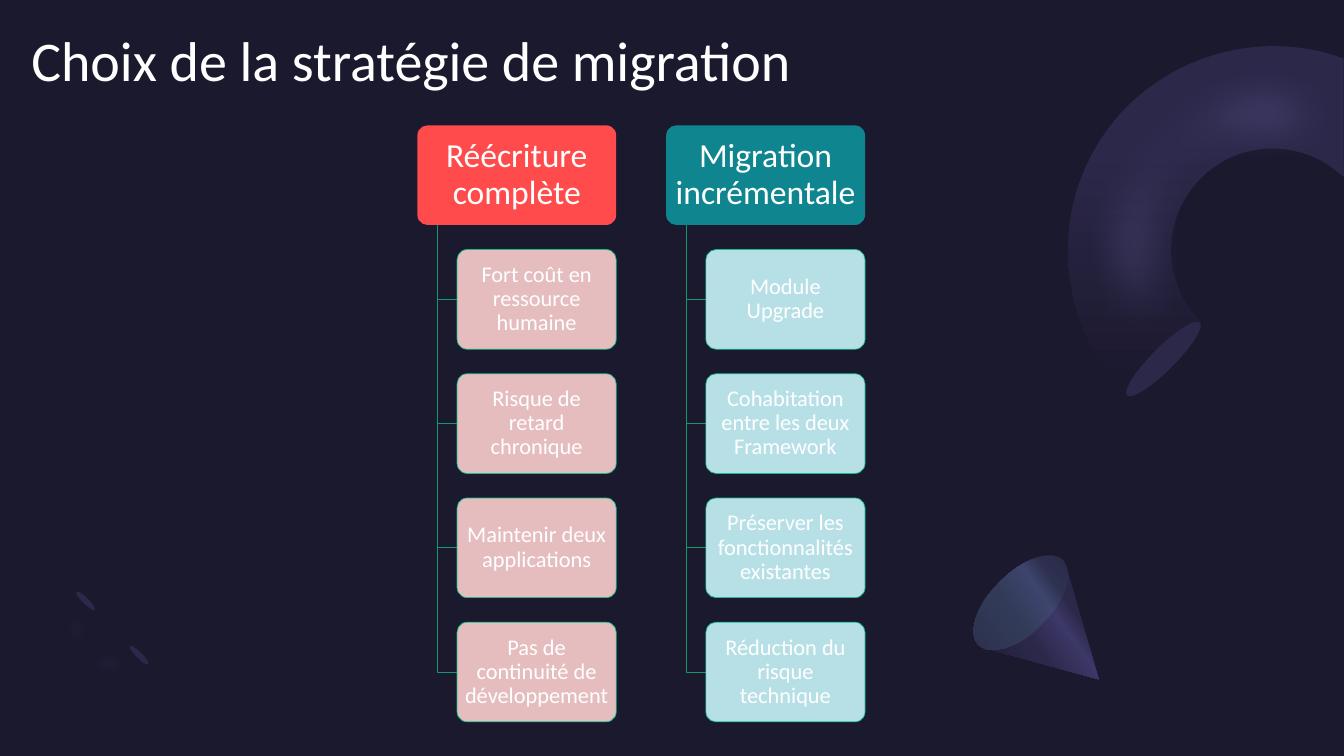
from dataclasses import dataclass

from lxml import etree
from pptx import Presentation
from pptx.dml.color import RGBColor
from pptx.enum.shapes import MSO_SHAPE
from pptx.enum.text import MSO_ANCHOR, PP_ALIGN
from pptx.oxml.ns import qn
from pptx.shapes.autoshape import Shape
from pptx.slide import Slide
from pptx.text.text import TextFrame
from pptx.util import Cm, Pt

ROUNDED = MSO_SHAPE.ROUNDED_RECTANGLE
OVAL = MSO_SHAPE.OVAL
MIDDLE = MSO_ANCHOR.MIDDLE
CENTER = PP_ALIGN.CENTER
LEFT = PP_ALIGN.LEFT

NIGHT = RGBColor(0x1B, 0x19, 0x2E)
INDIGO = RGBColor(0x2C, 0x28, 0x4A)
VIOLET = RGBColor(0x3C, 0x38, 0x67)
PLUM = RGBColor(0x45, 0x40, 0x75)
LAVENDER = RGBColor(0x77, 0x71, 0xB2)
MINT = RGBColor(0x5B, 0xEF, 0xC1)
WHITE = RGBColor(0xFF, 0xFF, 0xFF)
RED = RGBColor(0xFF, 0x4B, 0x4B)
PINK = RGBColor(0xFB, 0xCF, 0xCF)
TEAL = RGBColor(0x0E, 0x85, 0x8F)
AQUA = RGBColor(0xC8, 0xF6, 0xFA)
LEAF_EDGE = RGBColor(0x13, 0xBE, 0x89)
BRANCH_GREEN = RGBColor(0x0F, 0x98, 0x6E)

FONT = "Calibri"
TREE_LEFT, TREE_TOP = 10.52, 3.16
HEAD_WIDTH, LEAF_WIDTH, BOX_HEIGHT = 5.01, 4.01, 2.51
COLUMN_PITCH, ROW_PITCH = 6.27, 3.13
TRUNK_INDENT, LEAF_INDENT = 0.5, 1.0

Point = tuple[float, float]


@dataclass(frozen=True)
class Stop:
    position: int
    color: RGBColor
    opacity: int = 100


@dataclass(frozen=True)
class Paint:
    stops: tuple[Stop, ...]
    angle: int = 0
    soft_edge: float = 0


@dataclass(frozen=True)
class Outline:
    start: Point
    segments: tuple[tuple[float, ...], ...]
    paint: Paint


@dataclass(frozen=True)
class Ellipse:
    left: float
    top: float
    width: float
    height: float
    rotation: int
    paint: Paint


@dataclass(frozen=True)
class Strategy:
    name: str
    head_color: RGBColor
    leaf_color: RGBColor
    points: tuple[str, ...]


INDIGO_PAINT = Paint((Stop(0, INDIGO),))

DECOR: tuple[Outline | Ellipse, ...] = (
    Outline((28.42, 9.96), (
        (26.42, 7.95, 26.42, 4.67, 28.42, 2.67), (29.82, 1.3, 31.8, 0.86, 33.55, 1.37),
        (33.86, 1.47), (33.86, 4.45), (33.5, 4.17),
        (32.48, 3.51, 31.14, 3.61, 30.25, 4.5), (29.26, 5.49, 29.26, 7.11, 30.25, 8.13),
    ), Paint((Stop(31, INDIGO), Stop(97, NIGHT)), 90)),
    Outline((29.06, 10.62), (
        (26.7, 8.28, 26.42, 4.75, 28.42, 2.72), (29.69, 1.47, 31.55, 1.12, 33.32, 1.57),
        (33.83, 1.75), (33.83, 4.62), (33.78, 4.62),
        (32.69, 3.99, 31.37, 4.04, 30.56, 4.85), (29.57, 5.87, 29.69, 7.62, 30.86, 8.81),
    ), Paint((Stop(0, LAVENDER, 40),), soft_edge=1.05)),
    Ellipse(29.03, 7.75, 0.58, 2.59, 225, INDIGO_PAINT),
    Outline((27.69, 17.12), (
        (24.82, 16.33), (24.79, 16.33),
        (24.74, 16.31, 24.69, 16.28, 24.66, 16.23), (24.38, 15.95, 24.61, 15.24, 25.2, 14.66),
        (25.78, 14.07, 26.49, 13.82, 26.8, 14.12), (26.82, 14.15, 26.85, 14.2, 26.87, 14.25),
    ), Paint((Stop(30, INDIGO), Stop(40, VIOLET), Stop(60, INDIGO), Stop(100, NIGHT)), 145)),
    Ellipse(24.97, 13.69, 1.5, 3.0, 225, Paint((Stop(0, PLUM, 33), Stop(100, MINT, 0)), 90)),
    Outline((1.93, 16.74), (
        (1.42, 16.23, 1.42, 15.42, 1.93, 14.91), (2.39, 15.37),
        (2.13, 15.62, 2.13, 16.03, 2.39, 16.28), (2.62, 16.54, 3.05, 16.54, 3.28, 16.28),
        (3.73, 16.74), (3.25, 17.25, 2.41, 17.25, 1.93, 16.74),
    ), Paint((Stop(0, NIGHT),))),
    Ellipse(3.43, 16.18, 0.15, 0.66, 135, INDIGO_PAINT),
    Ellipse(2.08, 14.81, 0.15, 0.66, 135, INDIGO_PAINT),
    Outline((1.93, 16.74), (
        (1.42, 16.23, 1.47, 15.37, 2.06, 14.78), (2.51, 15.24),
        (2.21, 15.52, 2.18, 15.98, 2.44, 16.21), (2.69, 16.46, 3.12, 16.43, 3.43, 16.15),
        (3.86, 16.61), (3.3, 17.17, 2.41, 17.25, 1.93, 16.74),
    ), Paint((Stop(0, LAVENDER, 20),), soft_edge=0.28)),
)

STRATEGIES = (
    Strategy("Réécriture complète", RED, PINK, (
        "Fort coût en ressource humaine", "Risque de retard chronique",
        "Maintenir deux applications", "Pas de continuité de développement")),
    Strategy("Migration incrémentale", TEAL, AQUA, (
        "Module Upgrade", "Cohabitation entre les deux Framework",
        "Préserver les fonctionnalités existantes", "Réduction du risque technique")),
)


def add_color(parent: etree._Element, stop: Stop) -> None:
    color = etree.SubElement(parent, qn("a:srgbClr"), val=str(stop.color))
    if stop.opacity < 100:
        etree.SubElement(color, qn("a:alpha"), val=str(stop.opacity * 1000))


def apply_paint(shape: Shape, paint: Paint) -> None:
    shape.shadow.inherit = False
    shape.line.fill.background()
    properties = shape._element.spPr
    if len(paint.stops) == 1:
        shape.fill.solid()
        solid = properties.find(qn("a:solidFill"))
        solid.clear()
        add_color(solid, paint.stops[0])
    else:
        shape.fill.gradient()
        gradient = properties.find(qn("a:gradFill"))
        stop_list = gradient.find(qn("a:gsLst"))
        stop_list.clear()
        for stop in paint.stops:
            add_color(etree.SubElement(stop_list, qn("a:gs"), pos=str(stop.position * 1000)), stop)
        gradient.find(qn("a:lin")).set("ang", str(paint.angle * 60000))
    if paint.soft_edge:
        effects = properties.find(qn("a:effectLst"))
        etree.SubElement(effects, qn("a:softEdge"), rad=str(Cm(paint.soft_edge)))


def draw_path(slide: Slide, points: list[Point], close: bool) -> Shape:
    (x, y), *others = [(Cm(px), Cm(py)) for px, py in points]
    builder = slide.shapes.build_freeform(x, y)
    builder.add_line_segments(others, close=close)
    return builder.convert_to_shape()


def draw_outline(slide: Slide, outline: Outline) -> Shape:
    points = [outline.start]
    for segment in outline.segments:
        points.extend(zip(segment[::2], segment[1::2]))
    shape = draw_path(slide, points, True)
    steps = iter(list(shape._element.iter(qn("a:lnTo"))))
    for segment in outline.segments:
        first = next(steps)
        if len(segment) == 6:
            first.tag = qn("a:cubicBezTo")
            for step in (next(steps), next(steps)):
                first.append(step[0])
                step.getparent().remove(step)
    return shape


def draw_decor(slide: Slide, item: Outline | Ellipse) -> None:
    if isinstance(item, Outline):
        shape = draw_outline(slide, item)
    else:
        shape = slide.shapes.add_shape(
            OVAL, Cm(item.left), Cm(item.top), Cm(item.width), Cm(item.height))
        shape.rotation = item.rotation
    apply_paint(shape, item.paint)


def write(frame: TextFrame, text: str, size: int, align: PP_ALIGN, inset: float) -> None:
    frame.text = text
    frame.word_wrap = True
    frame.margin_left = frame.margin_right = Cm(inset)
    frame.margin_top = frame.margin_bottom = Cm(inset / 2)
    paragraph = frame.paragraphs[0]
    paragraph.alignment = align
    paragraph.line_spacing = 0.9
    font = paragraph.runs[0].font
    font.name, font.size, font.color.rgb = FONT, Pt(size), WHITE


def draw_box(slide: Slide, left: float, top: float, width: float, text: str,
             size: int, fill: Stop, inset: float) -> Shape:
    box = slide.shapes.add_shape(ROUNDED, Cm(left), Cm(top), Cm(width), Cm(BOX_HEIGHT))
    box.adjustments[0] = 0.1
    apply_paint(box, Paint((fill,)))
    write(box.text_frame, text, size, CENTER, inset)
    box.text_frame.vertical_anchor = MIDDLE
    return box


def set_line(shape: Shape, color: RGBColor) -> None:
    shape.line.color.rgb = color
    shape.line.width = Pt(0.5)


def draw_strategy(slide: Slide, strategy: Strategy, left: float) -> None:
    draw_box(slide, left, TREE_TOP, HEAD_WIDTH, strategy.name, 24, Stop(0, strategy.head_color), 0.12)
    trunk, leaf_left = left + TRUNK_INDENT, left + LEAF_INDENT
    for row, point in enumerate(strategy.points, start=1):
        top = TREE_TOP + row * ROW_PITCH
        middle = top + BOX_HEIGHT / 2
        branch = draw_path(
            slide, [(trunk, TREE_TOP + BOX_HEIGHT), (trunk, middle), (leaf_left, middle)], False)
        branch.shadow.inherit = False
        branch.fill.background()
        set_line(branch, BRANCH_GREEN)
        leaf = draw_box(slide, leaf_left, top, LEAF_WIDTH, point, 16,
                        Stop(0, strategy.leaf_color, 90), 0.08)
        set_line(leaf, LEAF_EDGE)


def main() -> None:
    deck = Presentation()
    deck.slide_width, deck.slide_height = Cm(33.87), Cm(19.05)
    slide = deck.slides.add_slide(deck.slide_layouts[6])
    slide.background.fill.solid()
    slide.background.fill.fore_color.rgb = NIGHT
    for item in DECOR:
        draw_decor(slide, item)
    title = slide.shapes.add_textbox(Cm(0.79), Cm(0.84), Cm(21.62), Cm(1.73))
    write(title.text_frame, "Choix de la stratégie de migration", 40, LEFT, 0)
    for column, strategy in enumerate(STRATEGIES):
        draw_strategy(slide, strategy, TREE_LEFT + column * COLUMN_PITCH)
    deck.save("out.pptx")


if __name__ == "__main__":
    main()
